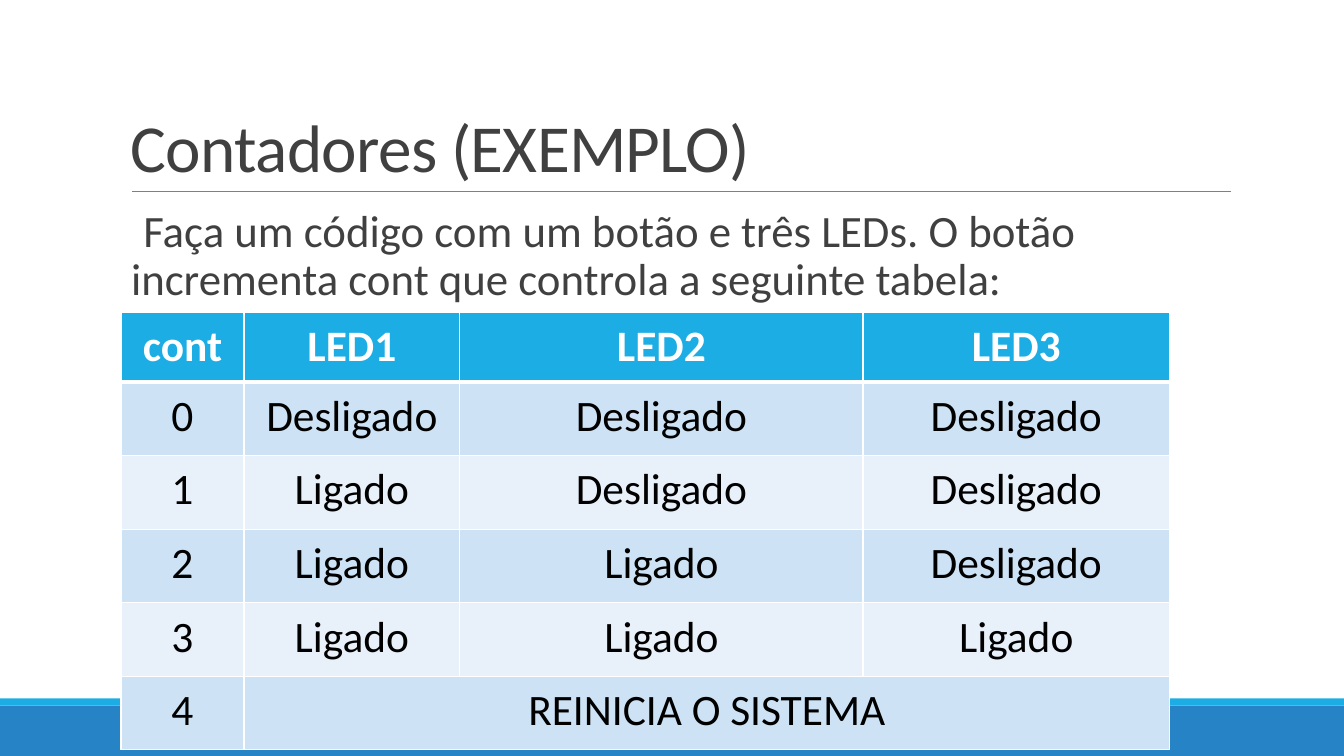
"""Builds a slide with a counter exercise and its LED state table."""
from dataclasses import dataclass

from lxml import etree
from pptx import Presentation
from pptx.dml.color import RGBColor
from pptx.enum.shapes import MSO_CONNECTOR, MSO_SHAPE
from pptx.enum.text import MSO_ANCHOR, PP_ALIGN
from pptx.oxml.ns import qn
from pptx.util import Inches, Pt

STRAIGHT = MSO_CONNECTOR.STRAIGHT
RECTANGLE = MSO_SHAPE.RECTANGLE
TOP, BOTTOM = MSO_ANCHOR.TOP, MSO_ANCHOR.BOTTOM
CENTER = PP_ALIGN.CENTER

TITLE = "Contadores (EXEMPLO)"
TASK = ("Faça um código com um botão e três LEDs. "
        "O botão incrementa cont que controla a seguinte tabela:")
OFF, ON = "Desligado", "Ligado"
STATES = [
    ("cont", "LED1", "LED2", "LED3"),
    ("0", OFF, OFF, OFF),
    ("1", ON, OFF, OFF),
    ("2", ON, ON, OFF),
    ("3", ON, ON, ON),
    ("4", "REINICIA O SISTEMA"),
]
COLUMN_WIDTHS = (1.22, 2.14, 4, 3.04)
HEADER_HEIGHT, ROW_HEIGHT = 0.69, 0.73
SLIDE_WIDTH, SLIDE_HEIGHT = 13.33, 7.5
LEFT, TEXT_WIDTH = 1.2, 11
TABLE_TOP = 3.1
RULE_LEFT, RULE_RIGHT, RULE_Y = 1.31, 12.21, 1.9
FOOTER_BANDS = [(7, 0.5, "2683C6"), (6.93, 0.07, "1CADE4")]


@dataclass(frozen=True)
class Theme:
    """Font, colours and sizes of the slide."""
    font: str = "Calibri"
    text: str = "404040"
    accent: str = "1CADE4"
    rule: str = "808080"
    white: str = "FFFFFF"
    black: str = "000000"
    bands: tuple = ("E8F1FA", "CDE3F5")
    title_size: int = 48
    task_size: int = 32
    cell_size: int = 31


THEME = Theme()


def style(para, size, color, bold=False):
    """Set the font of a whole paragraph."""
    font = para.font
    font.name, font.size, font.bold = THEME.font, Pt(size), bold
    font.color.rgb = RGBColor.from_string(color)


def add_text(page, top, height, text, size, spacing, anchor, side_inset):
    """Add a wrapped one-paragraph text box and return its paragraph."""
    box = page.shapes.add_textbox(
        Inches(LEFT), Inches(top), Inches(TEXT_WIDTH), Inches(height))
    frame = box.text_frame
    frame.word_wrap = True
    frame.vertical_anchor = anchor
    frame.margin_left = frame.margin_right = Inches(side_inset)
    para = frame.paragraphs[0]
    para.text = text
    para.line_spacing = spacing
    style(para, size, THEME.text)
    return para


def add_bands(page):
    """Add the two footer bands."""
    for top, height, color in FOOTER_BANDS:
        band = page.shapes.add_shape(
            RECTANGLE, 0, Inches(top), Inches(SLIDE_WIDTH), Inches(height))
        band.shadow.inherit = False
        band.fill.solid()
        band.fill.fore_color.rgb = RGBColor.from_string(color)
        band.line.fill.background()


def add_rule(page):
    """Add the thin line under the title."""
    rule = page.shapes.add_connector(
        STRAIGHT, Inches(RULE_LEFT), Inches(RULE_Y),
        Inches(RULE_RIGHT), Inches(RULE_Y))
    rule.line.width = Pt(0.5)
    rule.line.color.rgb = RGBColor.from_string(THEME.rule)
    etree.SubElement(rule._element.spPr, qn("a:effectLst"))


def add_title(page):
    """Add the slide title with tightened letters."""
    para = add_text(page, 0.31, 1.59, TITLE, THEME.title_size, 0.85, BOTTOM, 0.1)
    para.runs[0].font._element.set("spc", "-50")


def add_task(page):
    """Add the exercise text with its blank hanging bullet."""
    para = add_text(page, 2.02, 1.08, TASK, THEME.task_size, 0.9, TOP, 0)
    para.space_before, para.space_after = Pt(12), Pt(2)
    properties = para._p.get_or_add_pPr()
    properties.set("marL", str(Inches(0.1)))
    properties.set("indent", str(-Inches(0.1)))
    bullet_color = etree.Element(qn("a:buClr"))
    etree.SubElement(bullet_color, qn("a:srgbClr"), val=THEME.accent)
    bullet = etree.Element(qn("a:buChar"), char=" ")
    default_font = properties.find(qn("a:defRPr"))
    for part in (bullet_color, bullet):
        default_font.addprevious(part)


def add_borders(cell, top_width, bottom_width):
    """Draw white borders round a table cell."""
    widths = {"lnL": 1, "lnR": 1, "lnT": top_width, "lnB": bottom_width}
    properties = cell._tc.get_or_add_tcPr()
    for side, width in widths.items():
        border = etree.SubElement(properties, qn(f"a:{side}"), w=str(Pt(width)))
        fill = etree.SubElement(border, qn("a:solidFill"))
        etree.SubElement(fill, qn("a:srgbClr"), val=THEME.white)


def add_states(page):
    """Add the table of LED states."""
    heights = [HEADER_HEIGHT] + [ROW_HEIGHT] * (len(STATES) - 1)
    table = page.shapes.add_table(
        len(STATES), len(COLUMN_WIDTHS), Inches(LEFT), Inches(TABLE_TOP),
        Inches(sum(COLUMN_WIDTHS)), Inches(sum(heights))).table
    for column, width in zip(table.columns, COLUMN_WIDTHS):
        column.width = Inches(width)
    for row, height in zip(table.rows, heights):
        row.height = Inches(height)
    last = len(STATES) - 1
    table.cell(last, 1).merge(table.cell(last, len(COLUMN_WIDTHS) - 1))
    for index, row in enumerate(table.rows):
        header = index == 0
        fill_color = THEME.accent if header else THEME.bands[index % 2]
        text_color = THEME.white if header else THEME.black
        for cell in row.cells:
            add_borders(cell, 3 if index == 1 else 1, 3 if header else 1)
            cell.fill.solid()
            cell.fill.fore_color.rgb = RGBColor.from_string(fill_color)
            cell.margin_left = cell.margin_right = Inches(0.17)
            cell.margin_top = cell.margin_bottom = Inches(0.08)
        for cell, text in zip(row.cells, STATES[index]):
            para = cell.text_frame.paragraphs[0]
            para.text = text
            para.alignment = CENTER
            style(para, THEME.cell_size, text_color, header)


def main():
    """Build and save the deck."""
    deck = Presentation()
    deck.slide_width = Inches(SLIDE_WIDTH)
    deck.slide_height = Inches(SLIDE_HEIGHT)
    page = deck.slides.add_slide(deck.slide_layouts[6])
    add_bands(page)
    add_rule(page)
    add_title(page)
    add_states(page)
    add_task(page)
    deck.save("out.pptx")


if __name__ == "__main__":
    main()
